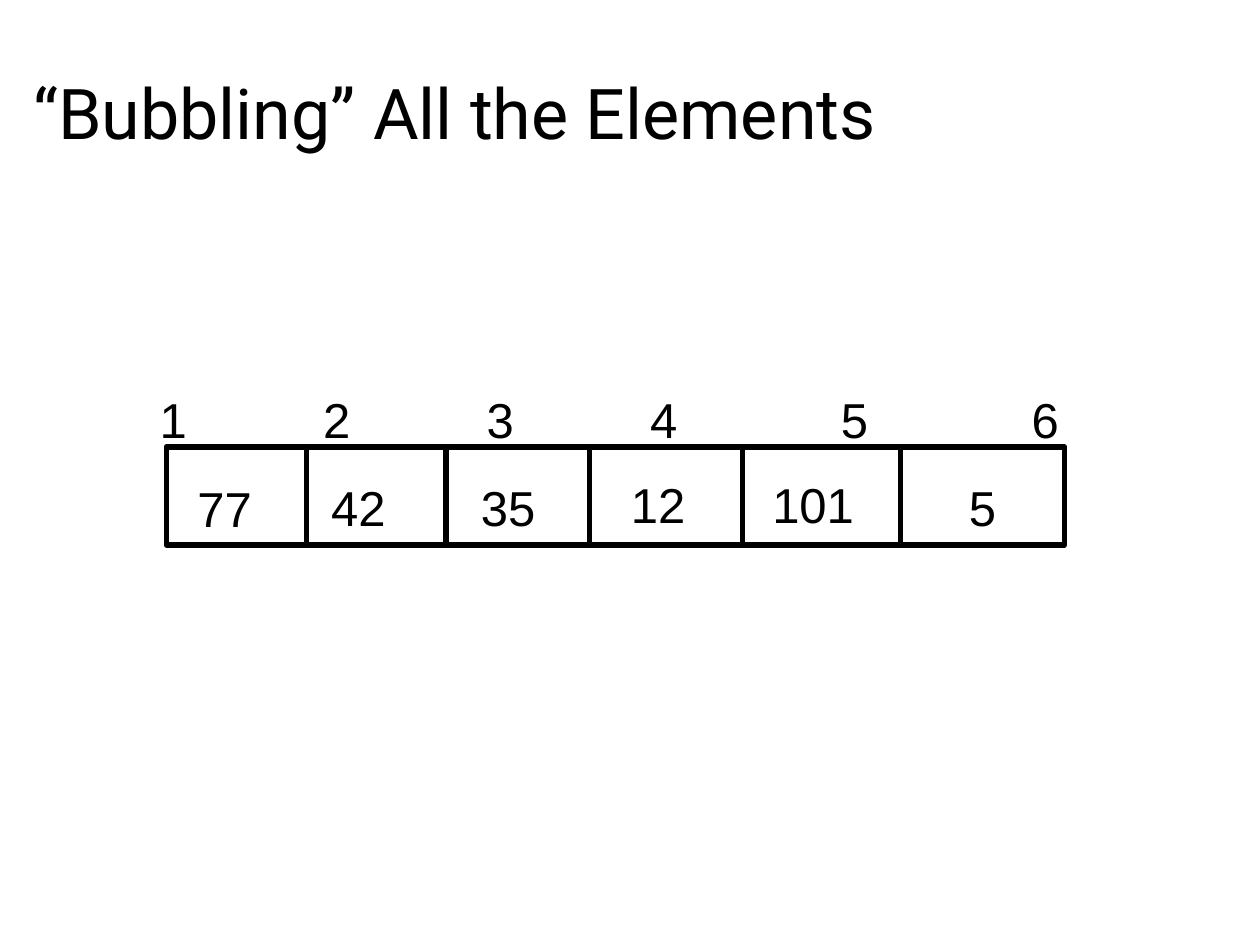
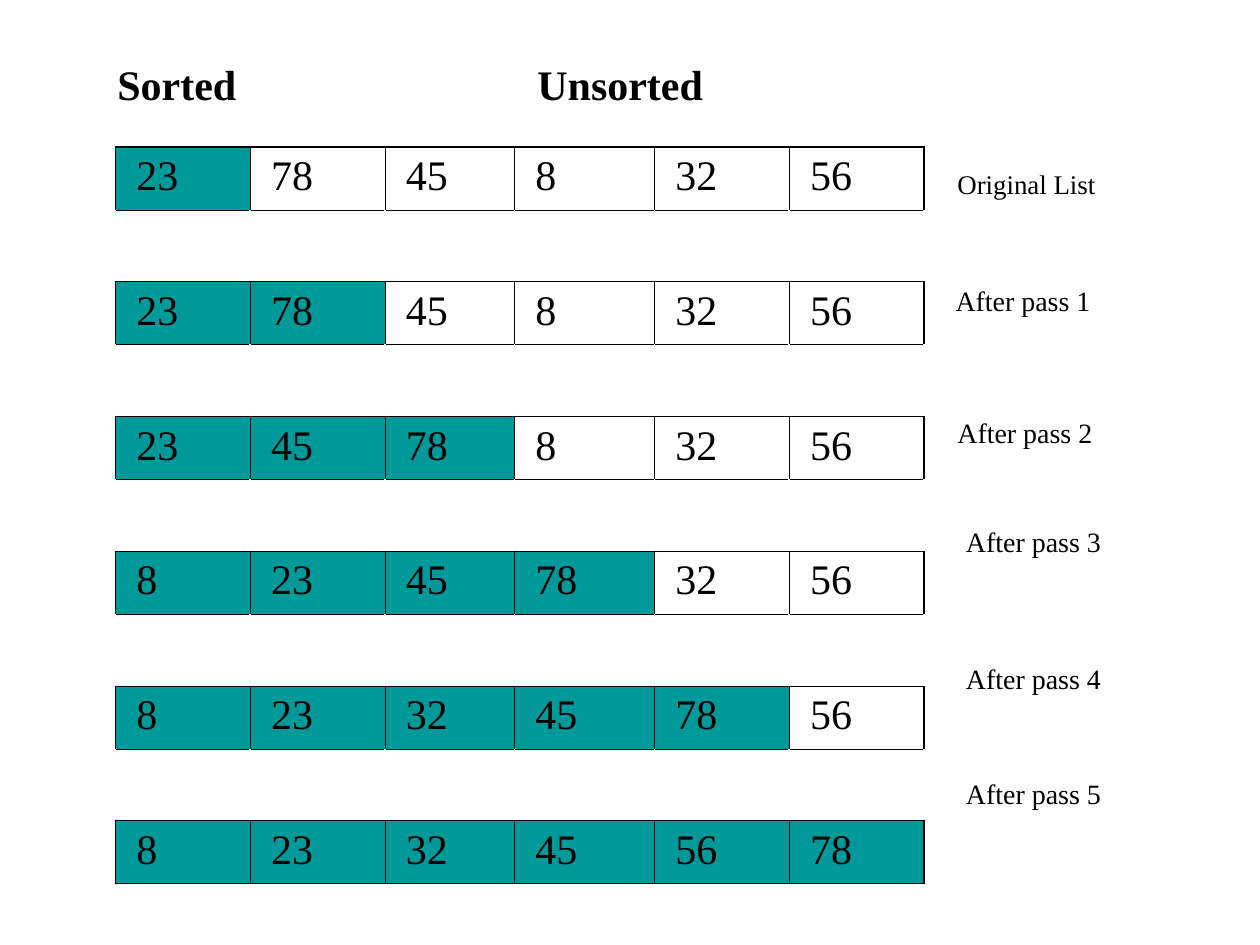
"""Build two slides about sorting: an array to bubble and the passes of an insertion sort."""
from dataclasses import dataclass

from lxml.etree import SubElement
from pptx import Presentation
from pptx.dml.color import RGBColor
from pptx.enum.shapes import MSO_CONNECTOR, MSO_SHAPE
from pptx.enum.text import MSO_ANCHOR, PP_ALIGN
from pptx.oxml.ns import qn
from pptx.util import Pt

COLOURS = {"ink": "000000", "sorted": "009999"}
SERIF = "Times New Roman"
TITLE_ONLY, BLANK = 5, 6

ARRAY_LEFT, ARRAY_TOP, ARRAY_WIDTH, ARRAY_HEIGHT = 95, 255.4, 513.4, 56
DIVIDERS = (175, 254.9, 337, 424.1, 514.8)
INDEX_TABS = (93.4, 186.8, 280.2, 389.2, 498.2)

VALUES = (23, 78, 45, 8, 32, 56)
COLUMN_WIDTHS = (77, 77, 74, 80, 77, 77)
ROW_HEIGHT, GAP_HEIGHT = 36, 41
THICK, THIN = 1.08, 0.45


@dataclass
class Label:
    """A piece of text with its place, in points, and its look."""
    text: str
    left: float
    top: float
    width: float
    height: float = 27
    size: float = 16
    font: str = SERIF
    bold: bool = False
    wrap: bool = True
    inset: bool = True
    line_spacing: float = 1.0


TITLE = Label("“Bubbling” All the Elements", 12, 36, 648, 78, 40, "Roboto")
INDEXES = Label("1\t2\t3\t4\t5\t6", 84.2, 218.9, 558, 41, 28, "Arial")
ARRAY_LABELS = [
    Label(text, left, top, width, 41, 28, "Arial", wrap=False)
    for text, left, top, width in (
        ("77", 105.8, 270, 45.4),
        ("42", 182.2, 269.3, 45.4),
        ("35", 267.8, 269.3, 45.4),
        ("12", 353.5, 267.8, 45.4),
        ("101", 434.2, 267.8, 61.2),
        ("5", 546.5, 269.3, 30.2),
    )
]
PASS_LABELS = [
    Label("Original List", 540, 96, 135, size=15.4, line_spacing=0.8),
    Label("After pass 1", 546, 162, 135, inset=False),
    Label("After pass 2", 540, 234, 135),
    Label("After pass 3", 552, 300, 135, inset=False),
    Label("After pass 4", 552, 378, 135, inset=False),
    Label("After pass 5", 552, 444, 135, inset=False),
]
HEADINGS = [
    Label(text, left, 30, 114, 36, 24, bold=True)
    for text, left in (("Sorted", 60), ("Unsorted", 300))
]


def colour(name: str) -> RGBColor:
    """Look up a named colour."""
    return RGBColor.from_string(COLOURS[name])


def format_runs(text_frame, size: float, font: str, bold: bool = False) -> None:
    """Give every run the same font and the ink colour."""
    for paragraph in text_frame.paragraphs:
        for run in paragraph.runs:
            run.font.size = Pt(size)
            run.font.name = font
            run.font.bold = bold
            run.font.color.rgb = colour("ink")


def fill_label(shape, label: Label) -> None:
    """Write a label into a text box or placeholder."""
    text_frame = shape.text_frame
    text_frame.text = label.text
    text_frame.word_wrap = label.wrap
    text_frame.vertical_anchor = MSO_ANCHOR.TOP
    text_frame.margin_left = text_frame.margin_right = Pt(7.2 if label.inset else 0)
    text_frame.margin_top = text_frame.margin_bottom = Pt(3.6 if label.inset else 0)
    paragraph = text_frame.paragraphs[0]
    paragraph.alignment = PP_ALIGN.LEFT
    paragraph.line_spacing = label.line_spacing
    format_runs(text_frame, label.size, label.font, label.bold)


def add_label(slide, label: Label):
    """Add a text box for a label."""
    shape = slide.shapes.add_textbox(
        Pt(label.left), Pt(label.top), Pt(label.width), Pt(label.height))
    fill_label(shape, label)
    return shape


def set_title(slide, label: Label) -> None:
    """Move the title placeholder and write the title."""
    title = slide.shapes.title
    title.left, title.top = Pt(label.left), Pt(label.top)
    title.width, title.height = Pt(label.width), Pt(label.height)
    fill_label(title, label)


def add_tab_stops(paragraph, positions: tuple) -> None:
    """Set left tab stops at the given points."""
    tab_list = SubElement(paragraph._p.get_or_add_pPr(), qn("a:tabLst"))
    for position in positions:
        SubElement(tab_list, qn("a:tab"), pos=str(int(Pt(position))), algn="l")


def add_divider(slide, left: float) -> None:
    """Draw one vertical line between array cells."""
    connector = slide.shapes.add_connector(
        MSO_CONNECTOR.STRAIGHT,
        Pt(left), Pt(ARRAY_TOP), Pt(left), Pt(ARRAY_TOP + ARRAY_HEIGHT))
    connector.line.color.rgb = colour("ink")
    connector.line.width = Pt(3)
    SubElement(connector._element.spPr, qn("a:effectLst"))


def set_border(cell, side: str, width: float) -> None:
    """Draw one side (L, R, T or B) of a cell."""
    line = SubElement(cell._tc.get_or_add_tcPr(), qn(f"a:ln{side}"), w=str(int(Pt(width))))
    fill = SubElement(line, qn("a:solidFill"))
    SubElement(fill, qn("a:srgbClr"), val=COLOURS["ink"])


def fill_value_cell(cell, value: int, is_sorted: bool, widths: dict) -> None:
    """Write a value with its borders and its sorted or unsorted fill."""
    for side, width in widths.items():
        set_border(cell, side, width)
    if is_sorted:
        cell.fill.solid()
        cell.fill.fore_color.rgb = colour("sorted")
    else:
        cell.fill.background()
    cell.margin_left = Pt(12)
    cell.text_frame.text = str(value)
    format_runs(cell.text_frame, 24, SERIF)


def add_pass_table(slide) -> None:
    """Add the table with one row per pass and gap rows between."""
    row_count, column_count = 2 * len(VALUES) - 1, len(VALUES)
    table = slide.shapes.add_table(
        row_count, column_count, Pt(66), Pt(84), Pt(sum(COLUMN_WIDTHS)),
        Pt(ROW_HEIGHT * len(VALUES) + GAP_HEIGHT * (len(VALUES) - 1))).table
    table.first_row = table.horz_banding = False
    for column, width in zip(table.columns, COLUMN_WIDTHS):
        column.width = Pt(width)
    for row_index, row in enumerate(table.rows):
        sorting_pass, is_gap = divmod(row_index, 2)
        row.height = Pt(GAP_HEIGHT if is_gap else ROW_HEIGHT)
        sorted_count = sorting_pass + 1
        values = sorted(VALUES[:sorted_count]) + list(VALUES[sorted_count:])
        for column_index, cell in enumerate(row.cells):
            if is_gap:
                set_border(cell, "T", THIN)
                set_border(cell, "B", THIN)
                cell.fill.background()
                continue
            widths = {
                "L": THICK if column_index == 0 else THIN,
                "R": THICK if column_index == column_count - 1 else THIN,
                "T": THICK if row_index == 0 else THIN,
                "B": THICK if row_index == row_count - 1 else THIN,
            }
            fill_value_cell(cell, values[column_index], column_index < sorted_count, widths)


def build_array_slide(presentation) -> None:
    """Build the slide with the array to be bubbled."""
    slide = presentation.slides.add_slide(presentation.slide_layouts[TITLE_ONLY])
    set_title(slide, TITLE)
    frame = slide.shapes.add_shape(
        MSO_SHAPE.RECTANGLE, Pt(ARRAY_LEFT), Pt(ARRAY_TOP), Pt(ARRAY_WIDTH), Pt(ARRAY_HEIGHT))
    frame.shadow.inherit = False
    frame.fill.background()
    frame.line.color.rgb = colour("ink")
    frame.line.width = Pt(3)
    for left in DIVIDERS:
        add_divider(slide, left)
    for label in ARRAY_LABELS:
        add_label(slide, label)
    indexes = add_label(slide, INDEXES)
    add_tab_stops(indexes.text_frame.paragraphs[0], INDEX_TABS)


def build_pass_slide(presentation) -> None:
    """Build the slide with the list after each pass."""
    slide = presentation.slides.add_slide(presentation.slide_layouts[BLANK])
    add_pass_table(slide)
    for label in PASS_LABELS + HEADINGS:
        add_label(slide, label)


def main() -> None:
    """Create and save the presentation."""
    presentation = Presentation()
    presentation.slide_width, presentation.slide_height = Pt(720), Pt(540)
    build_array_slide(presentation)
    build_pass_slide(presentation)
    presentation.save("out.pptx")


if __name__ == "__main__":
    main()
